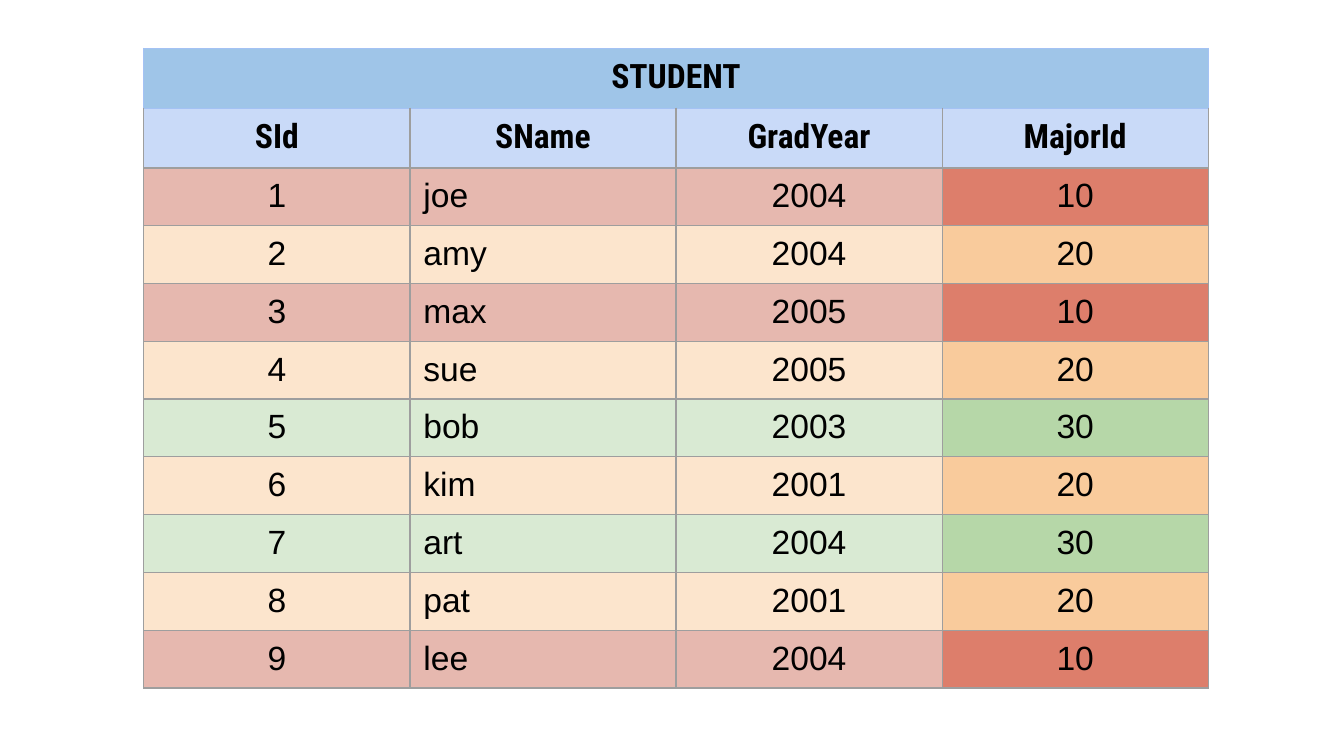
from lxml import etree
from pptx import Presentation
from pptx.dml.color import RGBColor
from pptx.enum.text import PP_ALIGN
from pptx.oxml.ns import qn
from pptx.util import Pt

PX = 4572
LEFT, CENTER = PP_ALIGN.LEFT, PP_ALIGN.CENTER

BLACK = RGBColor(0x00, 0x00, 0x00)
GRAY = RGBColor(0x9E, 0x9E, 0x9E)
BLUE_LINE = RGBColor(0xA4, 0xC2, 0xF4)
BLUE = RGBColor(0x9F, 0xC5, 0xE8)
PALE_BLUE = RGBColor(0xC9, 0xDA, 0xF8)
RED = RGBColor(0xDD, 0x7E, 0x6B)
PALE_RED = RGBColor(0xE6, 0xB8, 0xAF)
ORANGE = RGBColor(0xF9, 0xCB, 0x9C)
PALE_ORANGE = RGBColor(0xFC, 0xE5, 0xCD)
GREEN = RGBColor(0xB6, 0xD7, 0xA8)
PALE_GREEN = RGBColor(0xD9, 0xEA, 0xD3)

MAJOR_FILLS = {10: (PALE_RED, RED), 20: (PALE_ORANGE, ORANGE), 30: (PALE_GREEN, GREEN)}
FIELDS = ["SId", "SName", "GradYear", "MajorId"]
STUDENTS = [
    (1, "joe", 2004, 10),
    (2, "amy", 2004, 20),
    (3, "max", 2005, 10),
    (4, "sue", 2005, 20),
    (5, "bob", 2003, 30),
    (6, "kim", 2001, 20),
    (7, "art", 2004, 30),
    (8, "pat", 2001, 20),
    (9, "lee", 2004, 10),
]


class Deck:
    heading_font = "Roboto Condensed"
    body_font = "Arial"
    size = Pt(18)
    border = Pt(0.75)

    def __init__(self, width, height):
        self.prs = Presentation()
        self.prs.slide_width, self.prs.slide_height = width * PX, height * PX
        self.s = self.prs.slides.add_slide(self.prs.slide_layouts[6])

    def table(self, left, top, col_width, row_heights, cols):
        shape = self.s.shapes.add_table(
            len(row_heights), cols, left * PX, top * PX,
            cols * col_width * PX, sum(row_heights) * PX)
        table = shape.table
        table.first_row = table.horz_banding = False
        for column in table.columns:
            column.width = col_width * PX
        for row, height in zip(table.rows, row_heights):
            row.height = height * PX
        return table

    def cell(self, cell, text, fill, align=CENTER, heading=False, line=GRAY, top_line=GRAY):
        cell.fill.solid()
        cell.fill.fore_color.rgb = fill
        cell.margin_left = cell.margin_right = 20 * PX
        cell.margin_top = cell.margin_bottom = 14 * PX
        self.borders(cell, line, top_line)
        p = cell.text_frame.paragraphs[0]
        p.text = text
        p.alignment = align
        for r in p.runs:
            r.font.name = self.heading_font if heading else self.body_font
            r.font.size = self.size
            r.font.bold = heading
            r.font.color.rgb = BLACK

    def borders(self, cell, line, top_line):
        tc_pr = cell._tc.get_or_add_tcPr()
        sides = [("a:lnL", line), ("a:lnR", line), ("a:lnT", top_line), ("a:lnB", line)]
        for i, (tag, color) in enumerate(sides):
            ln = etree.Element(qn(tag), w=str(self.border))
            solid = etree.SubElement(ln, qn("a:solidFill"))
            etree.SubElement(solid, qn("a:srgbClr"), val=str(color))
            tc_pr.insert(i, ln)


def main():
    deck = Deck(2000, 1125)
    cols = len(FIELDS)
    table = deck.table(214, 72, 396, [89, 89] + [86] * len(STUDENTS), cols)

    for c, field in enumerate(FIELDS):
        title = "STUDENT" if c == 0 else ""
        deck.cell(table.cell(0, c), title, BLUE, heading=True,
                  line=BLUE_LINE, top_line=BLUE_LINE)
        deck.cell(table.cell(1, c), field, PALE_BLUE, heading=True, top_line=BLUE_LINE)
    table.cell(0, 0).merge(table.cell(0, cols - 1))

    for r, student in enumerate(STUDENTS, start=2):
        pale, strong = MAJOR_FILLS[student[-1]]
        for c, value in enumerate(student):
            deck.cell(table.cell(r, c), str(value),
                      strong if FIELDS[c] == "MajorId" else pale,
                      LEFT if FIELDS[c] == "SName" else CENTER)

    deck.prs.save("out.pptx")


if __name__ == "__main__":
    main()
